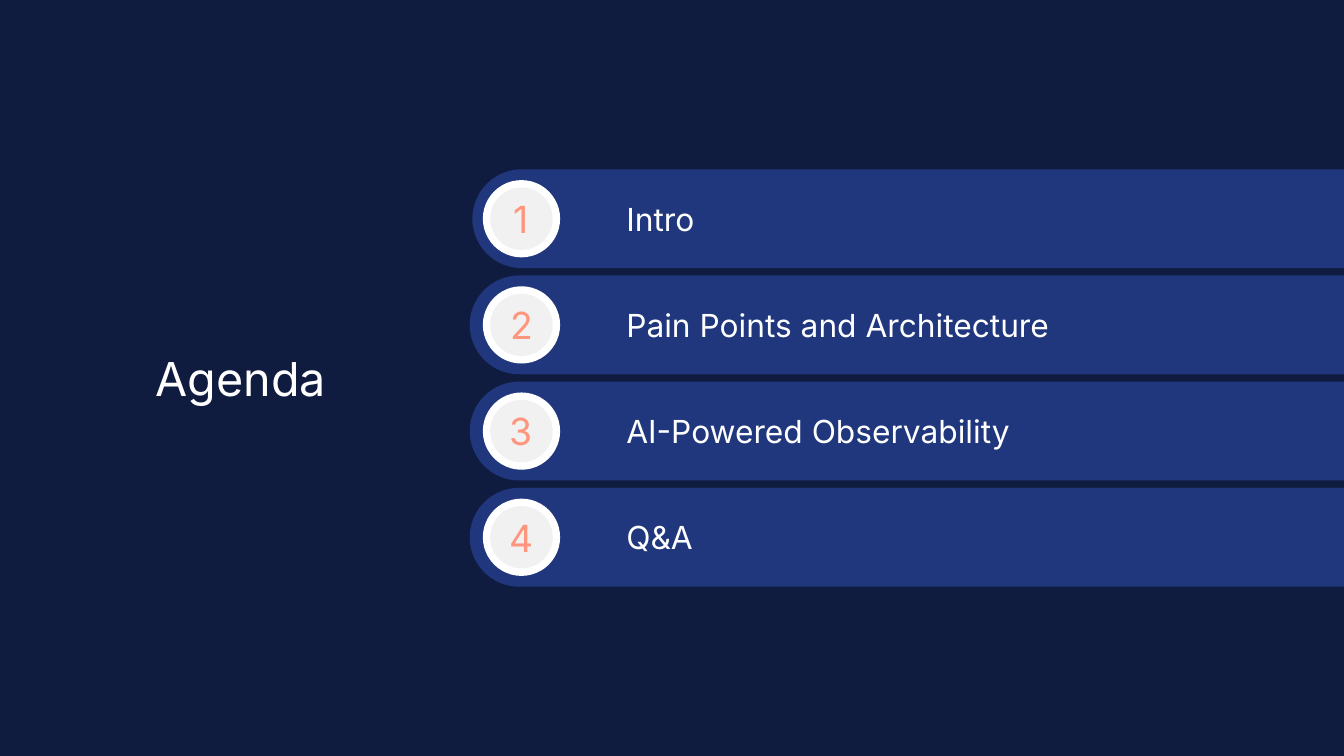
import math

import pptx
import pptx.dml.color
import pptx.enum.shapes
import pptx.enum.text
import pptx.util

Inches = pptx.util.Inches
RGBColor = pptx.dml.color.RGBColor
ALIGN = pptx.enum.text.PP_ALIGN
OVAL = pptx.enum.shapes.MSO_SHAPE.OVAL

NAVY = RGBColor(0x10, 0x1C, 0x3F)
BLUE = RGBColor(0x20, 0x37, 0x7D)
WHITE = RGBColor(0xFF, 0xFF, 0xFF)
PALE = RGBColor(0xF1, 0xF1, 0xF1)
CORAL = RGBColor(0xFF, 0x95, 0x7D)

TOPICS = ["Intro", "Pain Points and Architecture", "AI-Powered Observability", "Q&A"]
SLIDE_WIDTH = 20
ROW_TOP, ROW_PITCH, ROW_HEIGHT = 2.52, 1.58, 1.47
ARC_STEPS = 48


def write_text(shape, text, size, color, align=ALIGN.LEFT, side_inset=0.2):
    frame = shape.text_frame
    frame.word_wrap = True
    frame.vertical_anchor = pptx.enum.text.MSO_ANCHOR.MIDDLE
    frame.margin_left = frame.margin_right = Inches(side_inset)
    frame.margin_top = frame.margin_bottom = Inches(0.2)
    para = frame.paragraphs[0]
    para.alignment = align
    span = para.add_run()
    span.text = text
    span.font.name = "Inter"
    span.font.size = pptx.util.Pt(size)
    span.font.color.rgb = color


def paint(shape, color):
    shape.shadow.inherit = False
    shape.fill.solid()
    shape.fill.fore_color.rgb = color
    shape.line.fill.background()


def add_text_box(page, left, top, width, height, text, **style):
    box = page.shapes.add_textbox(Inches(left), Inches(top), Inches(width), Inches(height))
    write_text(box, text, **style)


def add_disc(page, center_x, center_y, diameter, color):
    disc = page.shapes.add_shape(
        OVAL, Inches(center_x - diameter / 2), Inches(center_y - diameter / 2),
        Inches(diameter), Inches(diameter))
    paint(disc, color)
    return disc


def add_bar(page, left, top, width, height):
    """Bar with a half-round left end and a square right end."""
    radius = height / 2
    arc = []
    for step in range(ARC_STEPS + 1):
        angle = math.pi * step / ARC_STEPS
        arc.append((Inches(left + radius - radius * math.sin(angle)),
                    Inches(top + radius - radius * math.cos(angle))))
    right = Inches(left + width)
    outline = page.shapes.build_freeform(*arc[0])
    outline.add_line_segments(arc[1:] + [(right, arc[-1][1]), (right, arc[0][1])])
    paint(outline.convert_to_shape(), BLUE)


def add_agenda_row(page, left, top, width, height, number, topic):
    middle = top + height / 2
    add_bar(page, left, top, width, height)
    # Number badge
    add_disc(page, 7.76, middle, 1.15, WHITE)
    badge = add_disc(page, 7.76, middle, 0.93, PALE)
    write_text(badge, str(number), size=40, color=CORAL, align=ALIGN.CENTER, side_inset=0)
    # Topic
    add_text_box(page, 9.12, middle - 0.4, 10.39, 0.8, topic, size=34, color=WHITE)


def add_agenda(page):
    for index, topic in enumerate(TOPICS):
        left = 7.03 if index == 0 else 6.99
        add_agenda_row(page, left, ROW_TOP + index * ROW_PITCH,
                       SLIDE_WIDTH - left, ROW_HEIGHT, index + 1, topic)


def main():
    deck = pptx.Presentation()
    deck.slide_width, deck.slide_height = Inches(SLIDE_WIDTH), Inches(11.25)
    page = deck.slides.add_slide(deck.slide_layouts[6])
    page.background.fill.solid()
    page.background.fill.fore_color.rgb = NAVY

    # Title
    add_text_box(page, 0.75, 4.71, 5.67, 1.83, "Agenda",
                 size=50, color=WHITE, align=ALIGN.CENTER)
    add_agenda(page)
    deck.save("out.pptx")


if __name__ == "__main__":
    main()
